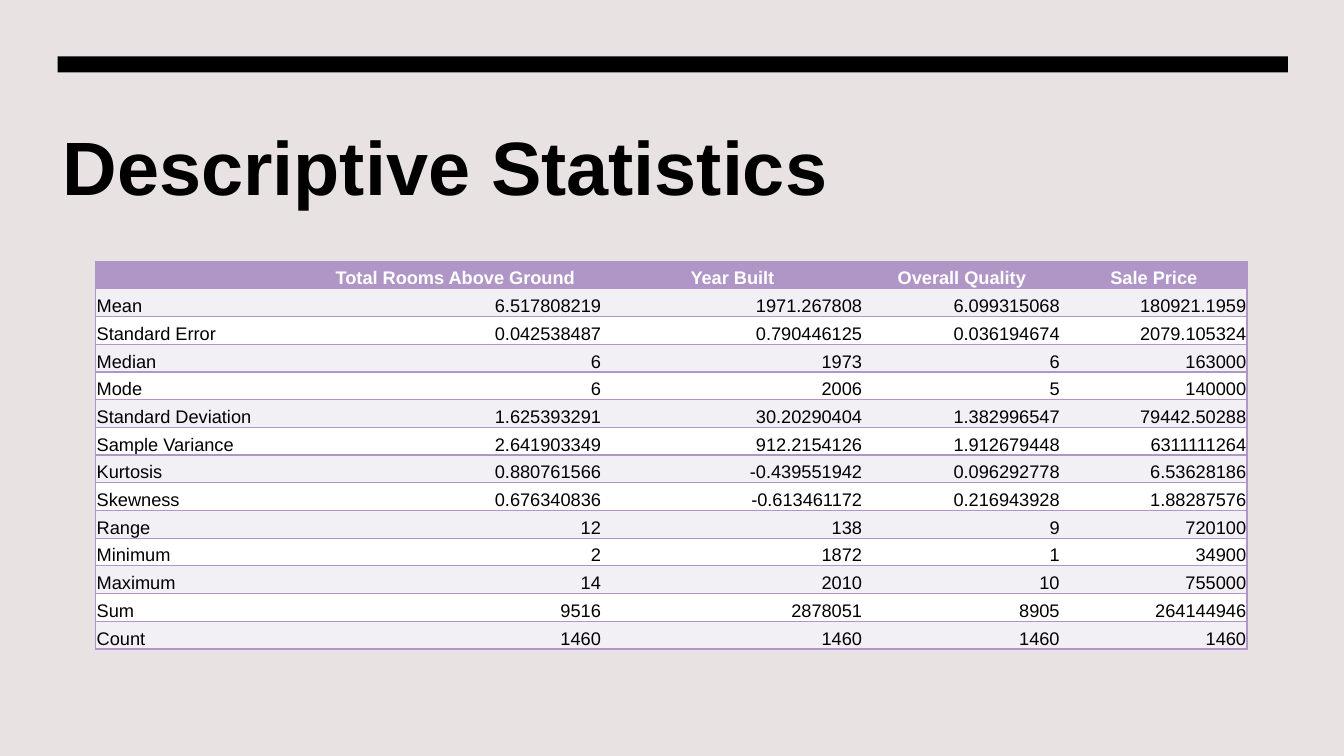
from collections import namedtuple
from lxml import etree
from pptx import Presentation
from pptx import util as u
from pptx.dml.color import RGBColor
from pptx.enum import shapes, text
from pptx.oxml import ns

BACKDROP = RGBColor(0xE8, 0xE2, 0xE3)
BLACK = RGBColor(0, 0, 0)
WHITE = RGBColor(255, 255, 255)
PURPLE = RGBColor(0xB0, 0x96, 0xC6)
PALE = RGBColor(0xF2, 0xEF, 0xF5)
FONT = "Arial"
PLAIN_TABLE = "{2D5ABB26-0587-4C30-8999-92F81FD0307C}"
LEFT, CENTER, RIGHT = text.PP_ALIGN.LEFT, text.PP_ALIGN.CENTER, text.PP_ALIGN.RIGHT

WIDTH, HEIGHT = u.Inches(13.33), u.Inches(7.5)
COLUMN, ROW = WIDTH / 24, HEIGHT / 24
Box = namedtuple("Box", "left top width height")

COLUMN_SHARES = [2.11, 2.91, 2.59, 1.96, 1.85]
STATISTICS = [
    ["", "Total Rooms Above Ground", "Year Built", "Overall Quality", "Sale Price"],
    ["Mean", "6.517808219", "1971.267808", "6.099315068", "180921.1959"],
    ["Standard Error", "0.042538487", "0.790446125", "0.036194674", "2079.105324"],
    ["Median", "6", "1973", "6", "163000"],
    ["Mode", "6", "2006", "5", "140000"],
    ["Standard Deviation", "1.625393291", "30.20290404", "1.382996547", "79442.50288"],
    ["Sample Variance", "2.641903349", "912.2154126", "1.912679448", "6311111264"],
    ["Kurtosis", "0.880761566", "-0.439551942", "0.096292778", "6.53628186"],
    ["Skewness", "0.676340836", "-0.613461172", "0.216943928", "1.88287576"],
    ["Range", "12", "138", "9", "720100"],
    ["Minimum", "2", "1872", "1", "34900"],
    ["Maximum", "14", "2010", "10", "755000"],
    ["Sum", "9516", "2878051", "8905", "264144946"],
    ["Count", "1460", "1460", "1460", "1460"],
]


def grid_box(left, top, width, height):
    return Box(int(left * COLUMN), int(top * ROW), int(width * COLUMN), int(height * ROW))


def write(frame, words, size, color=BLACK, bold=False, align=LEFT):
    para = frame.paragraphs[0]
    para.alignment = align
    if not words:
        para._p.get_or_add_endParaRPr().set("sz", str(size * 100))
        return
    span = para.add_run()
    span.text = words
    span.font.name = FONT
    span.font.size = u.Pt(size)
    span.font.bold = bold
    span.font.color.rgb = color


def set_borders(cell, sides):
    properties = cell._tc.get_or_add_tcPr()
    for side in sides:
        line = etree.SubElement(properties, ns.qn("a:ln" + side), w=str(u.Pt(1)))
        fill = etree.SubElement(line, ns.qn("a:solidFill"))
        etree.SubElement(fill, ns.qn("a:srgbClr"), val=str(PURPLE))


def place_title(page, box):
    title = page.shapes.title
    title.left, title.top, title.width, title.height = box
    frame = title.text_frame
    frame.word_wrap = True
    frame.auto_size = text.MSO_AUTO_SIZE.NONE
    frame.vertical_anchor = text.MSO_ANCHOR.TOP
    frame.margin_left, frame.margin_top = u.Inches(0.05), u.Inches(0.12)
    write(frame, "Descriptive Statistics", 54, bold=True)


def place_bar(page, box):
    bar = page.shapes.add_shape(shapes.MSO_SHAPE.RECTANGLE, *box)
    bar.shadow.inherit = False
    bar.fill.solid()
    bar.fill.fore_color.rgb = BLACK
    bar.line.fill.background()


def format_cell(cell, words, row, column):
    header, first = row == 0, column == 0
    last = column == len(COLUMN_SHARES) - 1
    set_borders(cell, "L" * first + "R" * last + "TB")
    cell.fill.solid()
    cell.fill.fore_color.rgb = PURPLE if header else PALE if row % 2 else WHITE
    cell.vertical_anchor = text.MSO_ANCHOR.BOTTOM
    cell.margin_left = cell.margin_right = cell.margin_top = u.Inches(0.01)
    cell.margin_bottom = 0
    write(cell.text_frame, words, 13, WHITE if header else BLACK, header,
          CENTER if header else LEFT if first else RIGHT)


def place_table(page, box):
    holder = page.shapes.add_table(len(STATISTICS), len(COLUMN_SHARES), *box)
    table = holder.table
    table._tbl.tblPr.find(ns.qn("a:tableStyleId")).text = PLAIN_TABLE
    for column, share in zip(table.columns, COLUMN_SHARES):
        column.width = int(box.width * share / sum(COLUMN_SHARES))
    for row, values in enumerate(STATISTICS):
        table.rows[row].height = box.height // len(STATISTICS)
        for column, words in enumerate(values):
            format_cell(table.cell(row, column), words, row, column)


def build_statistics_page(deck):
    page = deck.slides.add_slide(deck.slide_layouts.get_by_name("Title Only"))
    page.background.fill.solid()
    page.background.fill.fore_color.rgb = BACKDROP
    place_title(page, grid_box(1.03, 3.42, 21.97, 5.73))
    place_bar(page, grid_box(1.03, 1.79, 21.97, 0.51))
    place_table(page, grid_box(1.71, 8.29, 20.56, 12.32))


deck = Presentation()
deck.slide_width, deck.slide_height = WIDTH, HEIGHT
build_statistics_page(deck)
deck.save("out.pptx")
